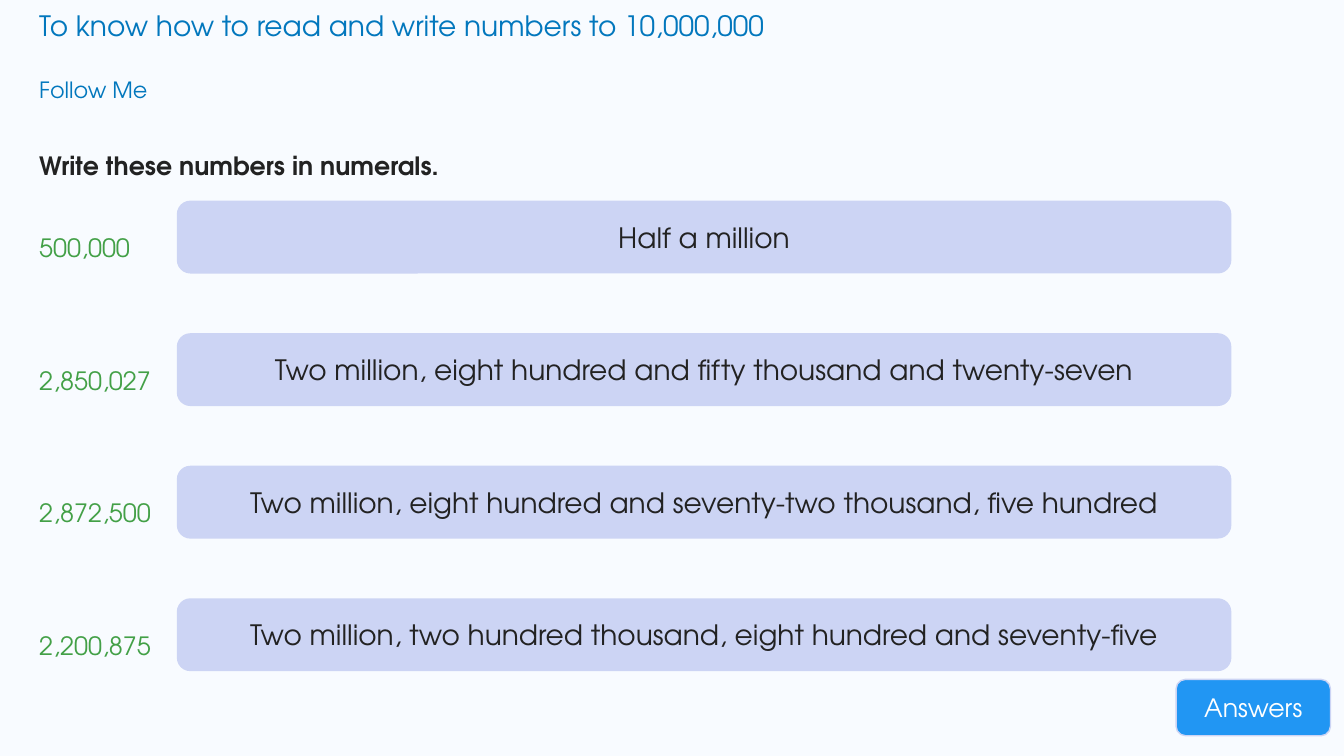
from dataclasses import dataclass

import pptx
import pptx.dml.color
import pptx.enum.shapes
import pptx.enum.text
import pptx.shapes.autoshape
import pptx.slide
import pptx.util
from pptx.util import Cm

FONT = "TeX Gyre Adventor"
COLOURS = {
    "background": "F8FBFF",
    "heading": "0277BD",
    "ink": "222222",
    "answer": "43A047",
    "bar": "CCD4F4",
    "button": "2196F3",
    "white": "FFFFFF",
}
LEFT = 0.74
FIRST_ROW_TOP = 5.11
ROW_PITCH = 3.34
ANSWER_DROP = 0.24


@dataclass(frozen=True)
class Box:
    """Position and size in centimetres."""

    left: float
    top: float
    width: float
    height: float

    def lengths(self) -> tuple[Cm, Cm, Cm, Cm]:
        return Cm(self.left), Cm(self.top), Cm(self.width), Cm(self.height)


@dataclass(frozen=True)
class Question:
    words: str
    numerals: str


QUESTIONS = [
    Question("Half a million", "500,000"),
    Question("Two million, eight hundred and fifty thousand and twenty-seven", "2,850,027"),
    Question("Two million, eight hundred and seventy-two thousand, five hundred", "2,872,500"),
    Question("Two million, two hundred thousand, eight hundred and seventy-five", "2,200,875"),
]


def colour(name: str) -> pptx.dml.color.RGBColor:
    return pptx.dml.color.RGBColor.from_string(COLOURS[name])


def write_text(
    shape: pptx.shapes.autoshape.Shape,
    text: str,
    *,
    size: float = 18,
    ink: str = "ink",
    bold: bool = False,
    centred: bool = False,
    line_spacing: float = 1.0,
) -> None:
    frame = shape.text_frame
    frame.word_wrap = True
    anchor = pptx.enum.text.MSO_ANCHOR
    frame.vertical_anchor = anchor.MIDDLE if centred else anchor.TOP
    paragraph = frame.paragraphs[0]
    alignment = pptx.enum.text.PP_ALIGN
    paragraph.alignment = alignment.CENTER if centred else alignment.LEFT
    paragraph.line_spacing = line_spacing
    run = paragraph.add_run()
    run.text = text
    run.font.name = FONT
    run.font.size = pptx.util.Pt(size)
    run.font.bold = bold
    run.font.color.rgb = colour(ink)


def add_text(slide: pptx.slide.Slide, box: Box, text: str, **text_format) -> None:
    write_text(slide.shapes.add_textbox(*box.lengths()), text, **text_format)


def add_panel(
    slide: pptx.slide.Slide, box: Box, text: str, *, fill: str, line_width: float, **text_format
) -> None:
    """Add a rounded panel with centred text."""
    shape = slide.shapes.add_shape(
        pptx.enum.shapes.MSO_SHAPE.ROUNDED_RECTANGLE, *box.lengths()
    )
    shape.shadow.inherit = False
    shape.fill.solid()
    shape.fill.fore_color.rgb = colour(fill)
    shape.line.color.rgb = colour("bar")
    shape.line.width = pptx.util.Pt(line_width)
    write_text(shape, text, centred=True, **text_format)


def add_question(slide: pptx.slide.Slide, question: Question, top: float) -> None:
    add_text(slide, Box(LEFT, top + ANSWER_DROP, 4.09, 1.27), question.numerals,
             ink="answer", line_spacing=1.5)
    add_panel(slide, Box(4.51, top, 26.47, 1.73), question.words,
              fill="bar", line_width=3, size=20)


def main() -> None:
    presentation = pptx.Presentation()
    presentation.slide_width, presentation.slide_height = Cm(33.87), Cm(19.05)
    slide = presentation.slides.add_slide(presentation.slide_layouts[6])
    slide.background.fill.solid()
    slide.background.fill.fore_color.rgb = colour("background")

    add_text(slide, Box(LEFT, 0.1, 31.34, 1.12),
             "To know how to read and write numbers to 10,000,000", size=20, ink="heading")
    add_text(slide, Box(LEFT, 1.8, 7.54, 1.17), "Follow Me", size=16, ink="heading")
    add_text(slide, Box(LEFT, 3.28, 32.61, 1.73), "Write these numbers in numerals.",
             bold=True, line_spacing=1.5)
    for row, question in enumerate(QUESTIONS):
        add_question(slide, question, FIRST_ROW_TOP + row * ROW_PITCH)
    add_panel(slide, Box(29.64, 17.12, 3.89, 1.42), "Answers",
              fill="button", line_width=1, ink="white")

    presentation.save("out.pptx")


if __name__ == "__main__":
    main()
